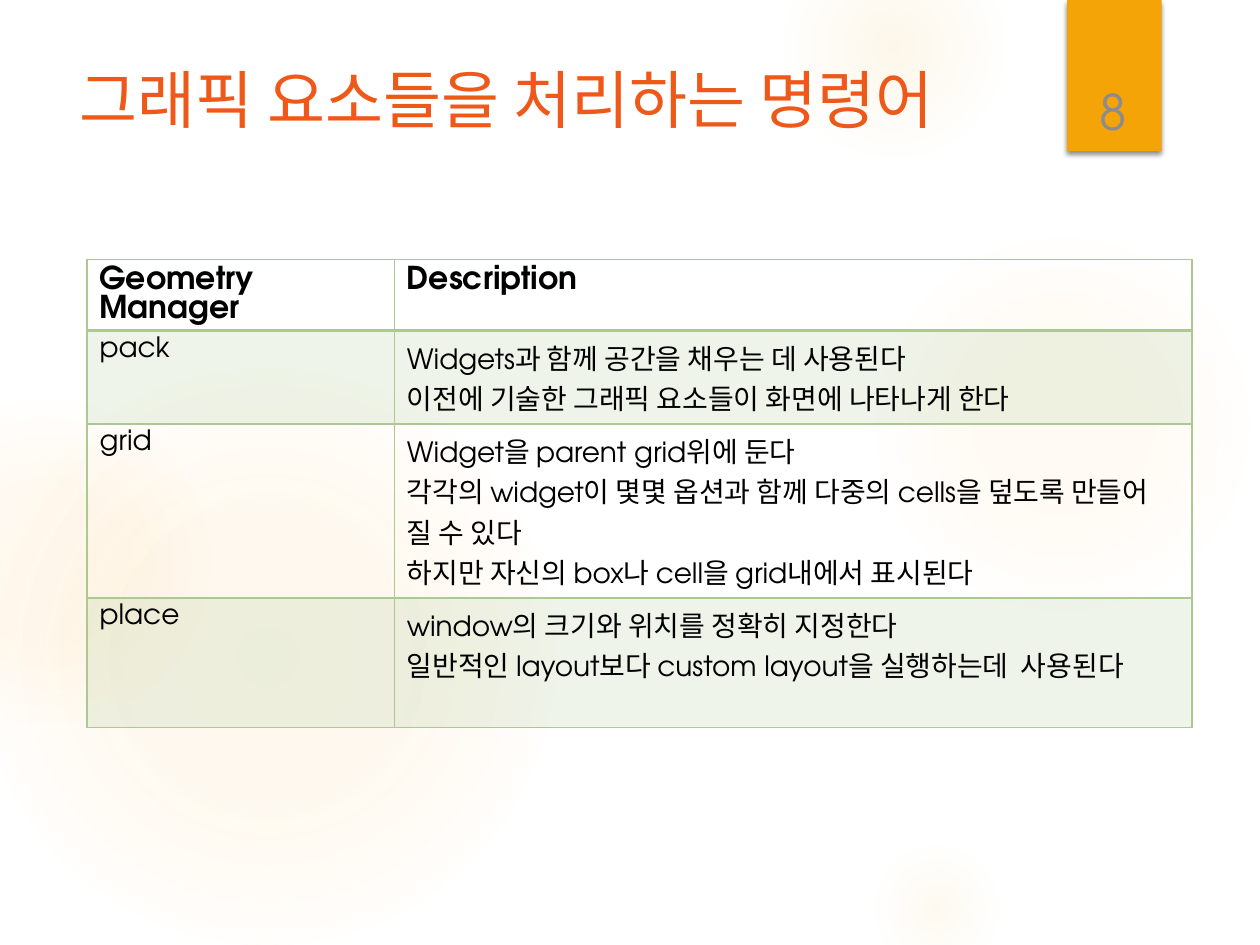
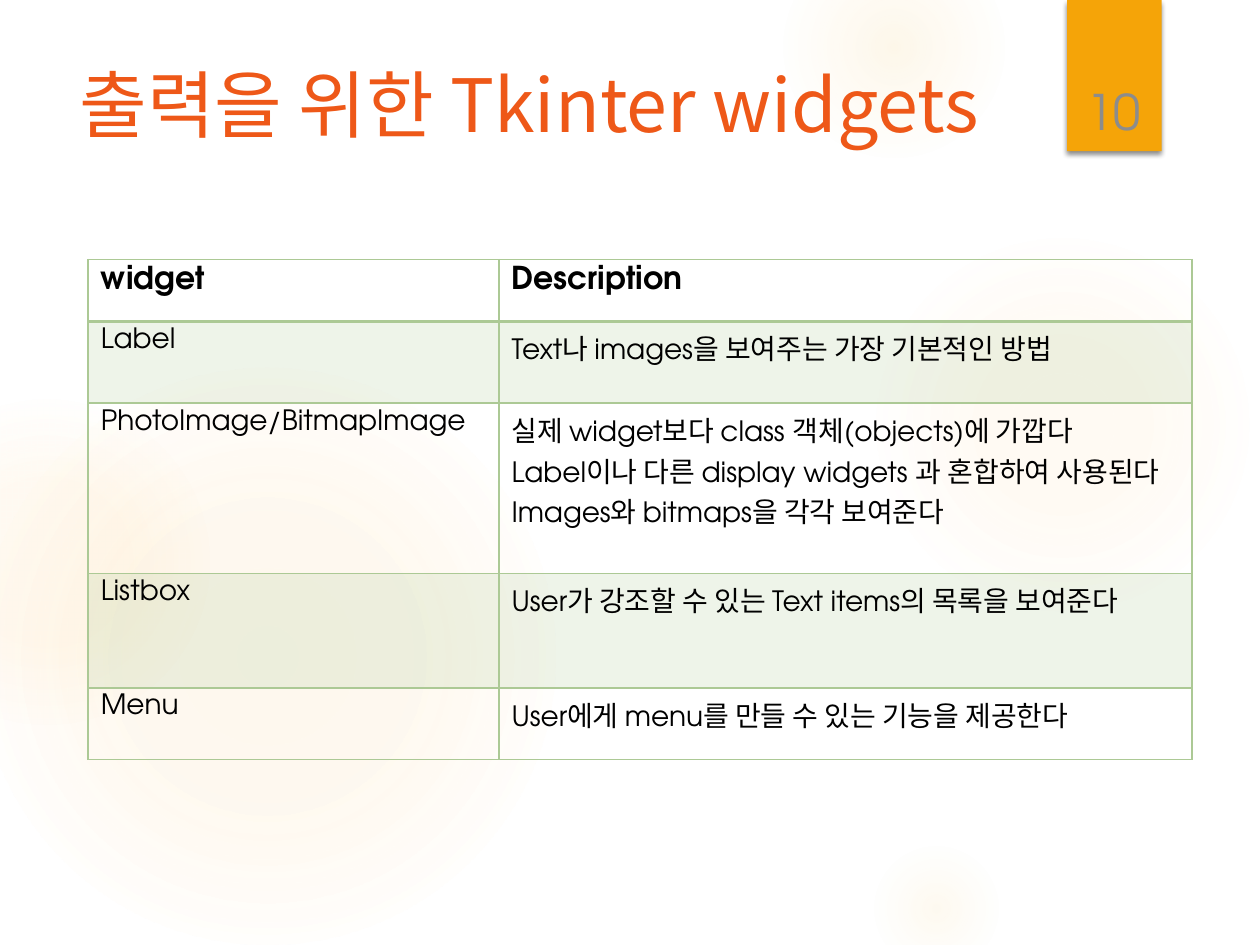
"""Build two Tkinter reference slides, each with a title, a table and a numbered ribbon."""
from pptx import Presentation
from pptx import oxml
from pptx import util as u
from pptx.dml.color import RGBColor
from pptx.enum import shapes, text
from pptx.oxml import ns

ORANGE = RGBColor(0xEE, 0x58, 0x18)
AMBER = RGBColor(0xF5, 0xA4, 0x08)
GREEN = RGBColor(0xAC, 0xC9, 0x95)
GRAY = RGBColor(0x8C, 0x8C, 0x8C)
BLACK = RGBColor(0, 0, 0)
GLOW = RGBColor(0xFA, 0xC9, 0x6A)
KOREAN = "Noto Sans CJK KR"
LATIN = "TeX Gyre Adventor"
NS = ns.nsdecls("a")

GLOWS = [
    (6.89, 1.83, 3.08, [(0, 7), (36, 6), (69, 0)]),
    (6.22, -0.5, 1.75, [(0, 14), (36, 7), (73, 0)]),
    (6.89, 6.67, 1.08, [(0, 10), (31, 5), (66, 0)]),
    (-0.17, 2.92, 4.58, [(0, 11), (36, 10), (75, 0)]),
    (-0.92, 3.17, 2.58, [(0, 8), (36, 8), (72, 0)]),
]

PAGES = [
    dict(
        number="8", title="그래픽 요소들을 처리하는 명령어", size=36, left=0.69,
        columns=[2.44, 6.33], heights=[0.56, 0.74, 1.38, 1.03],
        rows=[
            ("Geometry Manager", "Description"),
            ("pack", "Widgets과 함께 공간을 채우는 데 사용된다\n"
                     "이전에 기술한 그래픽 요소들이 화면에 나타나게 한다"),
            ("grid", "Widget을 parent grid위에 둔다\n"
                     "각각의 widget이 몇몇 옵션과 함께 다중의 cells을 덮도록 만들어 질 수 있다\n"
                     "하지만 자신의 box나 cell을 grid내에서 표시된다"),
            ("place", "window의 크기와 위치를 정확히 지정한다\n"
                      "일반적인 layout보다 custom layout을 실행하는데  사용된다"),
        ],
    ),
    dict(
        number="10", title="출력을 위한 Tkinter widgets", size=42, left=0.7,
        columns=[3.26, 5.5], heights=[0.49, 0.65, 1.35, 0.91, 0.57],
        rows=[
            ("widget", "Description"),
            ("Label", "Text나 images을 보여주는 가장 기본적인 방법"),
            ("PhotoImage/BitmapImage",
             "실제 widget보다 class 객체(objects)에 가깝다\n"
             "Label이나 다른 display widgets 과 혼합하여 사용된다 Images와 bitmaps을 각각 보여준다"),
            ("Listbox", "User가 강조할 수 있는 Text items의 목록을 보여준다"),
            ("Menu", "User에게 menu를 만들 수 있는 기능을 제공한다"),
        ],
    ),
]


def style_text(frame, size, color, latin, bold=False):
    """Format every run of a text frame."""
    for paragraph in frame.paragraphs:
        for run in paragraph.runs:
            run.font.size = u.Pt(size)
            run.font.bold = bold
            run.font.color.rgb = color
            run.font.name = latin
            run.font._element.find(ns.qn("a:latin")).addnext(
                oxml.parse_xml(f'<a:ea {NS} typeface="{KOREAN}"/>'))


def style_cell(cell, row):
    """Tint every second row and draw the green borders of a cell."""
    if row % 2:
        cell.fill.solid()
        cell.fill.fore_color.rgb = GREEN
    else:
        cell.fill.background()
    properties = cell._tc.get_or_add_tcPr()
    for tint in properties.iter(ns.qn("a:srgbClr")):
        tint.append(oxml.parse_xml(f'<a:alpha {NS} val="20000"/>'))
    widths = {"L": 1, "R": 1, "T": 2 if row == 1 else 1, "B": 2 if row == 0 else 1}
    for place, (side, width) in enumerate(widths.items()):
        properties.insert(place, oxml.parse_xml(
            f'<a:ln{side} {NS} w="{u.Pt(width)}"><a:solidFill>'
            f'<a:srgbClr val="{GREEN}"/></a:solidFill></a:ln{side}>'))


deck = Presentation()
deck.slide_width, deck.slide_height = u.Inches(10), u.Inches(7.5)

for page in PAGES:
    slide = deck.slides.add_slide(deck.slide_layouts[5])

    for left, top, size, stops in GLOWS:
        glow = slide.shapes.add_shape(
            shapes.MSO_SHAPE.OVAL, u.Inches(left), u.Inches(top), u.Inches(size), u.Inches(size))
        glow.shadow.inherit = False
        glow.line.fill.background()
        colors = "".join(
            f'<a:gs pos="{position * 1000}"><a:srgbClr val="{GLOW}">'
            f'<a:alpha val="{alpha * 1000}"/></a:srgbClr></a:gs>' for position, alpha in stops)
        glow.element.spPr.find(ns.qn("a:prstGeom")).addnext(oxml.parse_xml(
            f'<a:gradFill {NS}><a:gsLst>{colors}</a:gsLst><a:path path="circle">'
            '<a:fillToRect l="50000" t="50000" r="50000" b="50000"/></a:path></a:gradFill>'))

    ribbon = slide.shapes.add_shape(
        shapes.MSO_SHAPE.RECTANGLE, u.Inches(8.47), 0, u.Inches(0.75), u.Inches(1.2))
    ribbon.shadow.inherit = False
    ribbon.fill.solid()
    ribbon.fill.fore_color.rgb = AMBER
    ribbon.line.fill.background()
    ribbon.element.spPr.find(ns.qn("a:effectLst")).append(oxml.parse_xml(
        f'<a:outerShdw {NS} blurRad="{u.Pt(3)}" dist="{u.Pt(2)}" dir="5400000">'
        f'<a:srgbClr val="{BLACK}"><a:alpha val="45000"/></a:srgbClr></a:outerShdw>'))

    title = slide.shapes.title
    title.element.getparent().append(title.element)
    title.left, title.top = u.Inches(0.53), u.Inches(0.5)
    title.width, title.height = u.Inches(7.72), u.Inches(1.53)
    title.text_frame.text = page["title"]
    title.text_frame.vertical_anchor = text.MSO_ANCHOR.TOP
    title.text_frame.auto_size = text.MSO_AUTO_SIZE.NONE
    title.text_frame.paragraphs[0].alignment = text.PP_ALIGN.LEFT
    title.text_frame.paragraphs[0].line_spacing = 0.9
    style_text(title.text_frame, page["size"], ORANGE, KOREAN)

    commands = slide.shapes.add_table(
        len(page["rows"]), 2, u.Inches(page["left"]), u.Inches(2.06),
        u.Inches(sum(page["columns"])), u.Inches(sum(page["heights"]))).table
    commands.first_row = commands.horz_banding = False
    for column, width in zip(commands.columns, page["columns"]):
        column.width = u.Inches(width)
    for row, (height, entries) in enumerate(zip(page["heights"], page["rows"])):
        commands.rows[row].height = u.Inches(height)
        for column, entry in enumerate(entries):
            cell = commands.cell(row, column)
            cell.text_frame.text = entry
            style_text(cell.text_frame, 16 if row else 18, BLACK, LATIN, bold=row == 0)
            style_cell(cell, row)

    number = slide.shapes.add_textbox(
        u.Inches(8.49), u.Inches(0.32), u.Inches(0.69), u.Inches(0.84)).text_frame
    number.word_wrap = True
    number.vertical_anchor = text.MSO_ANCHOR.BOTTOM
    number.text = page["number"]
    number.paragraphs[0].alignment = text.PP_ALIGN.CENTER
    style_text(number, 28, GRAY, LATIN)

deck.save("out.pptx")
